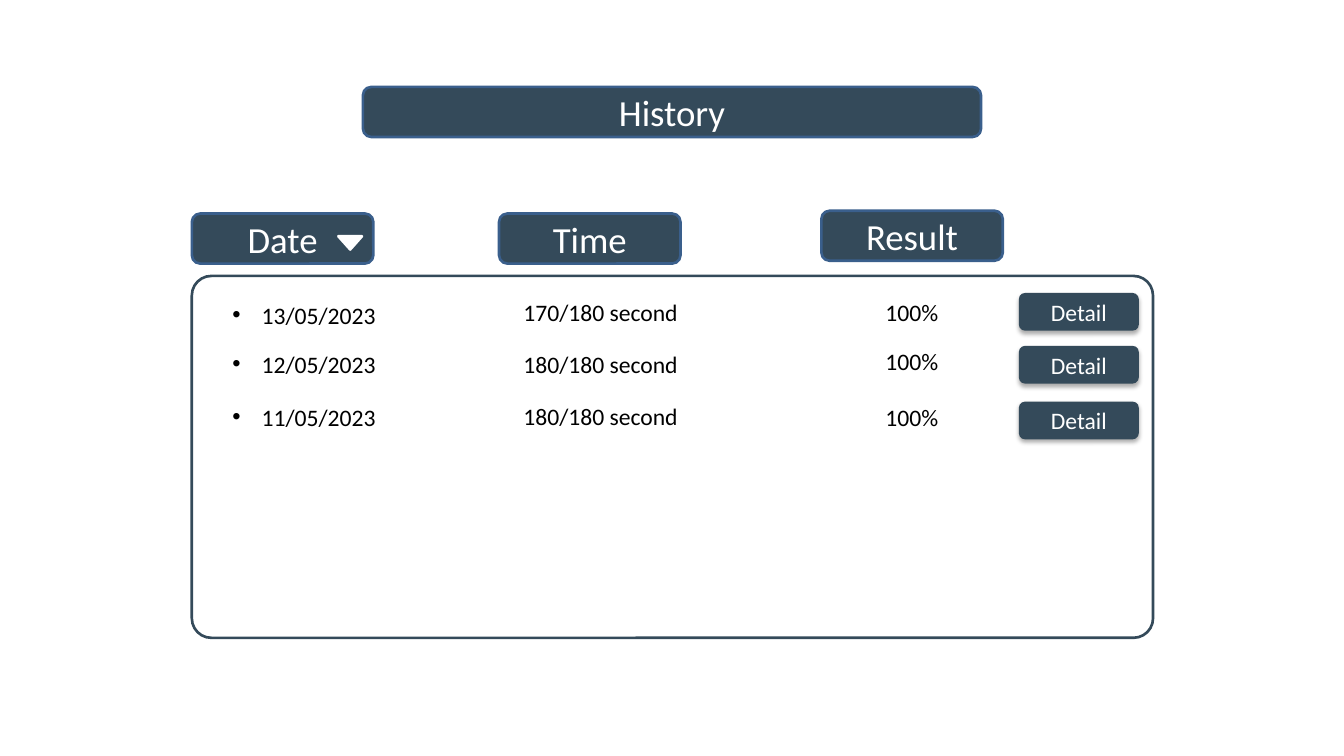
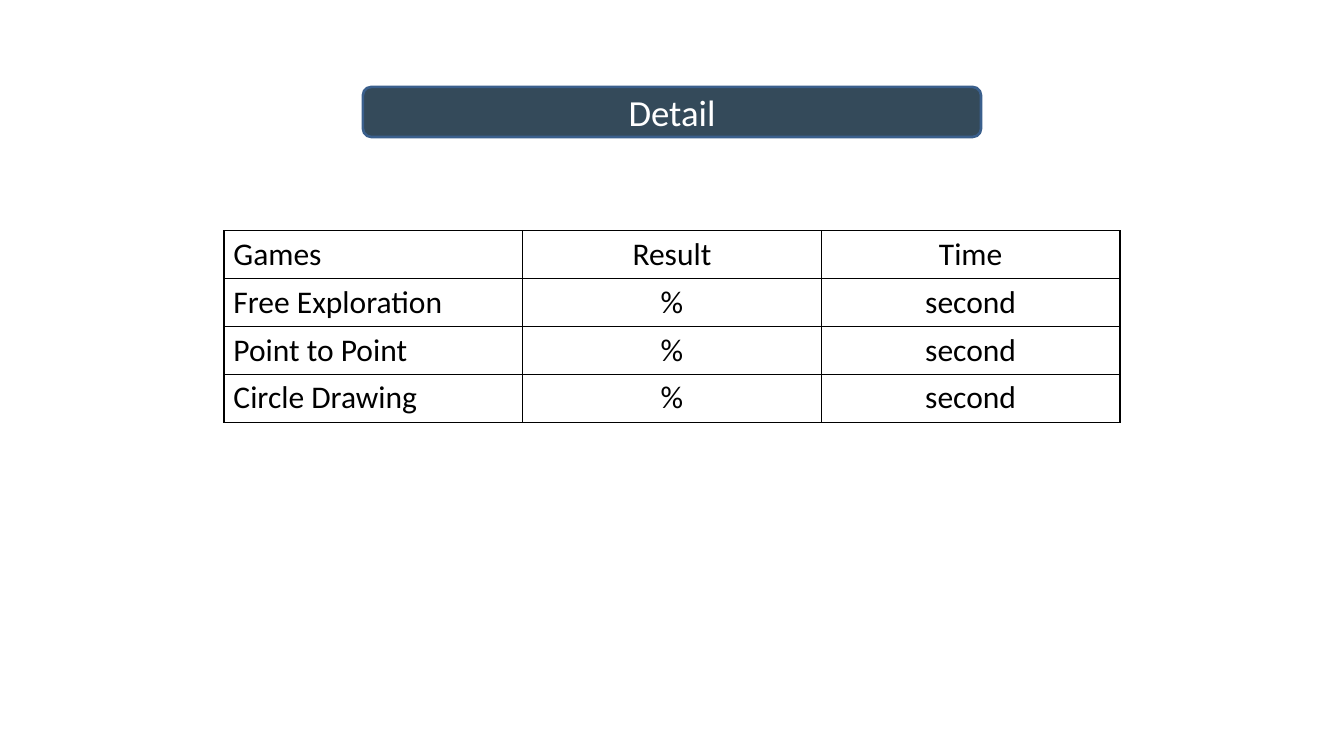
from lxml.etree import SubElement
from pptx import Presentation
from pptx.dml.color import RGBColor
from pptx.enum.shapes import MSO_SHAPE as Shape
from pptx.enum.text import MSO_ANCHOR as Anchor, PP_ALIGN as Align
from pptx.oxml.ns import qn
from pptx.util import Inches, Pt

SLATE, EDGE, WHITE, BLACK = "344A5A", "3A5F8C", "FFFFFF", "000000"
FONT = "Calibri"
TITLE_BOX = (3.84, 0.92, 6.54, 0.53)
PANEL_BOX = (2.03, 2.92, 10.17, 3.83)
TABLE_BOX = (2.37, 2.44, 9.48, 2)
HEADERS = [("Date", 0, -0.66), ("Time", 3.25, -0.66), ("Result", 6.66, -0.69)]
HEADER_SIZE = (1.92, 0.53)
ROW_HEIGHT = 0.4
COLUMNS = [(0.33, 1.8), (3.41, 1.85), (7.24, 0.77)]
BUTTON_COLUMN = (8.75, 1.27)
HISTORY = [
    (("13/05/2023", "170/180 second", "100%"), (0.21, 0.18, 0.18, 0.18)),
    (("12/05/2023", "180/180 second", "100%"), (0.73, 0.73, 0.7, 0.74)),
    (("11/05/2023", "180/180 second", "100%"), (1.29, 1.28, 1.29, 1.33)),
]
GAMES = [("Games", "Result", "Time")] + [
    (game, "%", "second") for game in ("Free Exploration", "Point to Point", "Circle Drawing")
]


def color(value):
    """Turn a hex string into a colour."""
    return RGBColor.from_string(value)


def write(frame, text, size, ink, align=Align.LEFT):
    """Write one formatted paragraph and return it."""
    frame.text = text
    paragraph = frame.paragraphs[0]
    paragraph.alignment = align
    paragraph.font.name = FONT
    paragraph.font.size = Pt(size)
    paragraph.font.bold = False
    paragraph.font.color.rgb = color(ink)
    return paragraph


def add_shape(shapes, kind, box, fill=None, line=None):
    """Add a preset shape with a flat fill and outline."""
    shape = shapes.add_shape(kind, *map(Inches, box))
    shape.shadow.inherit = False
    if fill:
        shape.fill.solid()
        shape.fill.fore_color.rgb = color(fill)
    else:
        shape.fill.background()
    if line:
        shape.line.color.rgb = color(line)
        shape.line.width = Pt(2)
    else:
        shape.line.fill.background()
    return shape


def add_label(shapes, box, text, size, line=None):
    """Add a slate rounded bar with centred white text."""
    shape = add_shape(shapes, Shape.ROUNDED_RECTANGLE, box, SLATE, line)
    shape.text_frame.vertical_anchor = Anchor.MIDDLE
    write(shape.text_frame, text, size, WHITE, Align.CENTER)
    return shape


def add_shadow(shape):
    """Give a shape a soft shadow straight below it."""
    effects = shape.element.spPr.find(qn("a:effectLst"))
    shadow = SubElement(effects, qn("a:outerShdw"), blurRad=str(Pt(3.5)), dist=str(Pt(2.2)),
                        dir="5400000", algn="t", rotWithShape="0")
    tint = SubElement(shadow, qn("a:srgbClr"), val=BLACK)
    SubElement(tint, qn("a:alpha"), val="32000")


def add_bullet(paragraph):
    """Give a paragraph a round bullet with a hanging indent."""
    properties = paragraph._p.get_or_add_pPr()
    properties.set("marL", str(Inches(0.31)))
    properties.set("indent", str(Inches(-0.31)))
    SubElement(properties, qn("a:buFont"), typeface="Arial")
    SubElement(properties, qn("a:buChar"), char="•")


def add_titled_slide(presentation, text):
    """Add a slide whose title sits on a rounded bar."""
    slide = presentation.slides.add_slide(presentation.slide_layouts[5])
    title = slide.shapes.title
    title.left, title.top, title.width, title.height = map(Inches, TITLE_BOX)
    title.text_frame.vertical_anchor = Anchor.MIDDLE
    write(title.text_frame, text, 28, WHITE, Align.CENTER)
    bar = add_shape(slide.shapes, Shape.ROUNDED_RECTANGLE, TITLE_BOX, SLATE, EDGE)
    title.element.addprevious(bar.element)
    return slide


def add_headers(slide, box):
    """Place the column headers and the sort marker above the panel."""
    left, top = box[:2]
    for text, x, y in HEADERS:
        add_label(slide.shapes, (left + x, top + y, *HEADER_SIZE), text, 28, EDGE)
    marker = add_shape(slide.shapes, Shape.ISOSCELES_TRIANGLE,
                       (left + 1.55, top - 0.42, 0.25, 0.14), WHITE, WHITE)
    marker.rotation = 180


def add_history_row(slide, box, values, offsets):
    """Place one grouped result row with its button in the panel."""
    left, top = box[:2]
    shapes = slide.shapes.add_group_shape().shapes
    for index, (text, (x, width), y) in enumerate(zip(values, COLUMNS, offsets)):
        cell = (left + x, top + y, width, ROW_HEIGHT)
        frame = shapes.add_textbox(*map(Inches, cell)).text_frame
        frame.word_wrap = False
        paragraph = write(frame, text, 18, BLACK)
        if index == 0:
            add_bullet(paragraph)
    x, width = BUTTON_COLUMN
    button = add_label(shapes, (left + x, top + offsets[-1], width, ROW_HEIGHT), "Detail", 18)
    add_shadow(button)


def add_history_panel(slide, box):
    """Draw the outlined panel with its headers and rows."""
    panel = add_shape(slide.shapes, Shape.ROUNDED_RECTANGLE, box, line=SLATE)
    panel.adjustments[0] = 0.054
    add_headers(slide, box)
    for values, offsets in HISTORY:
        add_history_row(slide, box, values, offsets)


def add_borders(cell):
    """Draw a thin black line on each side of a cell."""
    properties = cell._tc.get_or_add_tcPr()
    for side in ("lnL", "lnR", "lnT", "lnB"):
        line = SubElement(properties, qn(f"a:{side}"), w=str(Pt(1)))
        fill = SubElement(line, qn("a:solidFill"))
        SubElement(fill, qn("a:srgbClr"), val=BLACK)


def add_games_table(slide, box):
    """Fill the box with an evenly divided table of games."""
    table = slide.shapes.add_table(len(GAMES), len(GAMES[0]), *map(Inches, box)).table
    table.first_row = table.horz_banding = False
    for row, values in enumerate(GAMES):
        for column, text in enumerate(values):
            cell = table.cell(row, column)
            add_borders(cell)
            cell.fill.background()
            write(cell.text_frame, text, 24, BLACK, Align.CENTER if column else Align.LEFT)


def main():
    """Build both slides and save them."""
    presentation = Presentation()
    presentation.slide_width, presentation.slide_height = Inches(14.22), Inches(8)
    add_history_panel(add_titled_slide(presentation, "History"), PANEL_BOX)
    add_games_table(add_titled_slide(presentation, "Detail"), TABLE_BOX)
    presentation.save("out.pptx")


if __name__ == "__main__":
    main()
